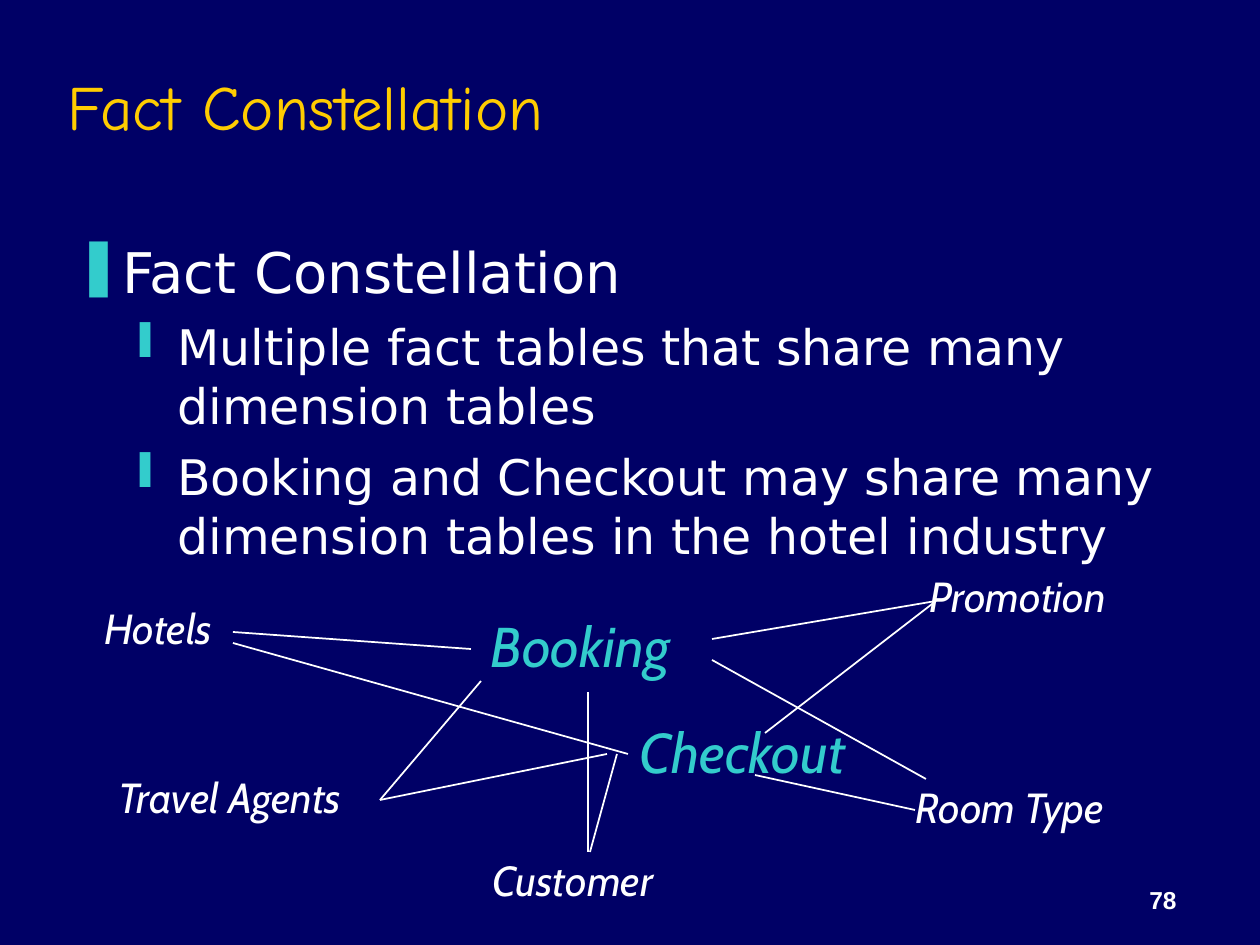
from lxml import etree
from pptx import Presentation
from pptx.dml.color import RGBColor
from pptx.enum.shapes import MSO_CONNECTOR
from pptx.enum.text import MSO_ANCHOR, MSO_AUTO_SIZE, PP_ALIGN
from pptx.oxml.ns import qn
from pptx.util import Pt

STRAIGHT = MSO_CONNECTOR.STRAIGHT
TOP, MIDDLE, BOTTOM = MSO_ANCHOR.TOP, MSO_ANCHOR.MIDDLE, MSO_ANCHOR.BOTTOM
LEFT, RIGHT = PP_ALIGN.LEFT, PP_ALIGN.RIGHT
FIT_SHAPE = MSO_AUTO_SIZE.SHAPE_TO_FIT_TEXT

PX_PER_INCH = 126
COLORS = {"navy": "000066", "gold": "FFCC00", "teal": "33CCCC", "white": "FFFFFF"}

# Bullet level: glyph, text size, left margin and hang in px, space before
LEVELS = [("❚", 32, 47, 47, 8), ("❙", 28, 102, 39, 7)]
BULLETS = [
    (0, "Fact Constellation"),
    (1, "Multiple fact tables that share many dimension tables"),
    (1, "Booking and Checkout may share many dimension tables in the hotel industry"),
]

# Label: text and box in px
DIMENSIONS = [
    ("Hotels", (92, 596, 141, 63)),
    ("Travel Agents", (106, 765, 275, 63)),
    ("Promotion", (917, 564, 222, 63)),
    ("Room Type", (903, 775, 231, 63)),
    ("Customer", (480, 848, 204, 63)),
]
FACTS = [
    ("Booking", (478, 605, 229, 79)),
    ("Checkout", (627, 711, 255, 79)),
]

# Links run from a dimension to a fact table, in px
BOOKING_LINKS = [
    ((233, 632), (471, 649)),
    ((380, 800), (481, 681)),
    ((588, 852), (588, 692)),
    ((936, 601), (712, 639)),
    ((926, 779), (712, 660)),
]
CHECKOUT_LINKS = [
    ((233, 643), (628, 754)),
    ((380, 800), (607, 754)),
    ((590, 852), (617, 754)),
    ((936, 601), (765, 733)),
    ((915, 810), (755, 775)),
]


def px(length):
    return round(length * 914400 / PX_PER_INCH)


def color(name):
    return RGBColor.from_string(COLORS[name])


def style_font(font, name, size, fill, bold=False, italic=False):
    font.name = name
    font.size = Pt(size)
    font.bold = bold
    font.italic = italic
    font.color.rgb = color(fill)


def add_frame(slide, box, anchor=TOP, wrap=True):
    frame = slide.shapes.add_textbox(*map(px, box)).text_frame
    frame.word_wrap = wrap
    frame.vertical_anchor = anchor
    return frame


def add_text(slide, text, box, anchor=TOP, wrap=True, align=LEFT, **font_format):
    frame = add_frame(slide, box, anchor, wrap)
    paragraph = frame.paragraphs[0]
    paragraph.text = text
    paragraph.alignment = align
    style_font(paragraph.runs[0].font, **font_format)
    return frame


def add_label(slide, text, box, size, fill):
    frame = add_text(slide, text, box, wrap=False, name="Cabin", size=size,
                     fill=fill, italic=True)
    frame.auto_size = FIT_SHAPE


def set_bullet(paragraph, glyph, margin, hang):
    properties = paragraph._p.get_or_add_pPr()
    properties.set("marL", str(px(margin)))
    properties.set("indent", str(-px(hang)))
    bullet_color = etree.SubElement(properties, qn("a:buClr"))
    etree.SubElement(bullet_color, qn("a:srgbClr")).set("val", COLORS["teal"])
    etree.SubElement(properties, qn("a:buChar")).set("char", glyph)


def add_bullets(slide, items, box):
    frame = add_frame(slide, box)
    for index, (level, text) in enumerate(items):
        glyph, size, margin, hang, space = LEVELS[level]
        paragraph = frame.add_paragraph() if index else frame.paragraphs[0]
        paragraph.text = text
        paragraph.level = level
        set_bullet(paragraph, glyph, margin, hang)
        if index:
            paragraph.space_before = Pt(space)
        style_font(paragraph.runs[0].font, "DejaVu Sans", size, "white")


def add_link(slide, start, end):
    connector = slide.shapes.add_connector(STRAIGHT, *map(px, start + end))
    connector.line.color.rgb = color("white")
    connector.line.width = Pt(1)
    etree.SubElement(connector._element.spPr, qn("a:effectLst"))


def main():
    presentation = Presentation()
    presentation.slide_width = px(1260)
    presentation.slide_height = px(945)
    slide = presentation.slides.add_slide(presentation.slide_layouts[6])
    slide.background.fill.solid()
    slide.background.fill.fore_color.rgb = color("navy")

    # Page number, title and bullets
    add_text(slide, "78", (927, 858, 262, 63), anchor=BOTTOM, align=RIGHT,
             name="Arial", size=14, fill="white", bold=True)
    add_text(slide, "Fact Constellation", (55, 32, 1071, 147), anchor=MIDDLE,
             name="Comic Neue", size=36, fill="gold")
    add_bullets(slide, BULLETS, (63, 231, 1126, 609))

    # Constellation diagram
    for text, box in DIMENSIONS:
        add_label(slide, text, box, 24, "white")
    for text, box in FACTS:
        add_label(slide, text, box, 32, "teal")
    for start, end in BOOKING_LINKS + CHECKOUT_LINKS:
        add_link(slide, start, end)

    presentation.save("out.pptx")


if __name__ == "__main__":
    main()
